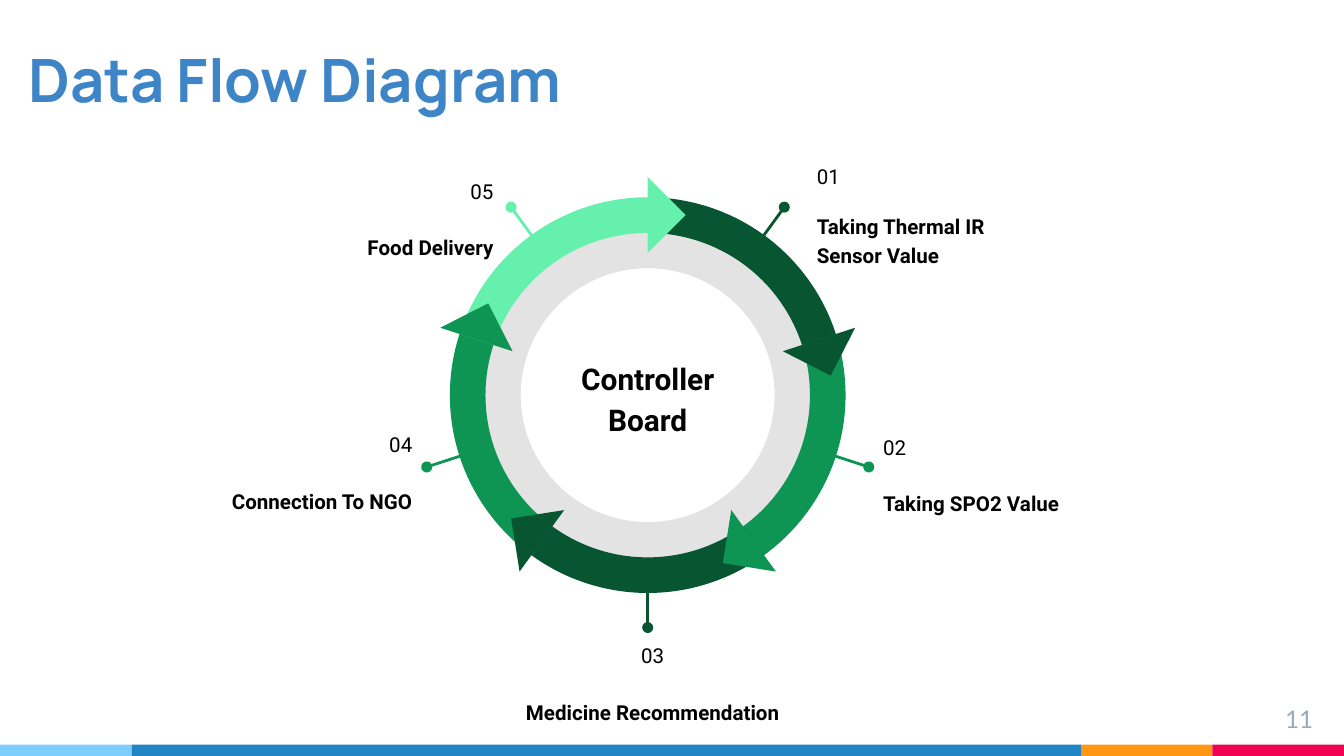
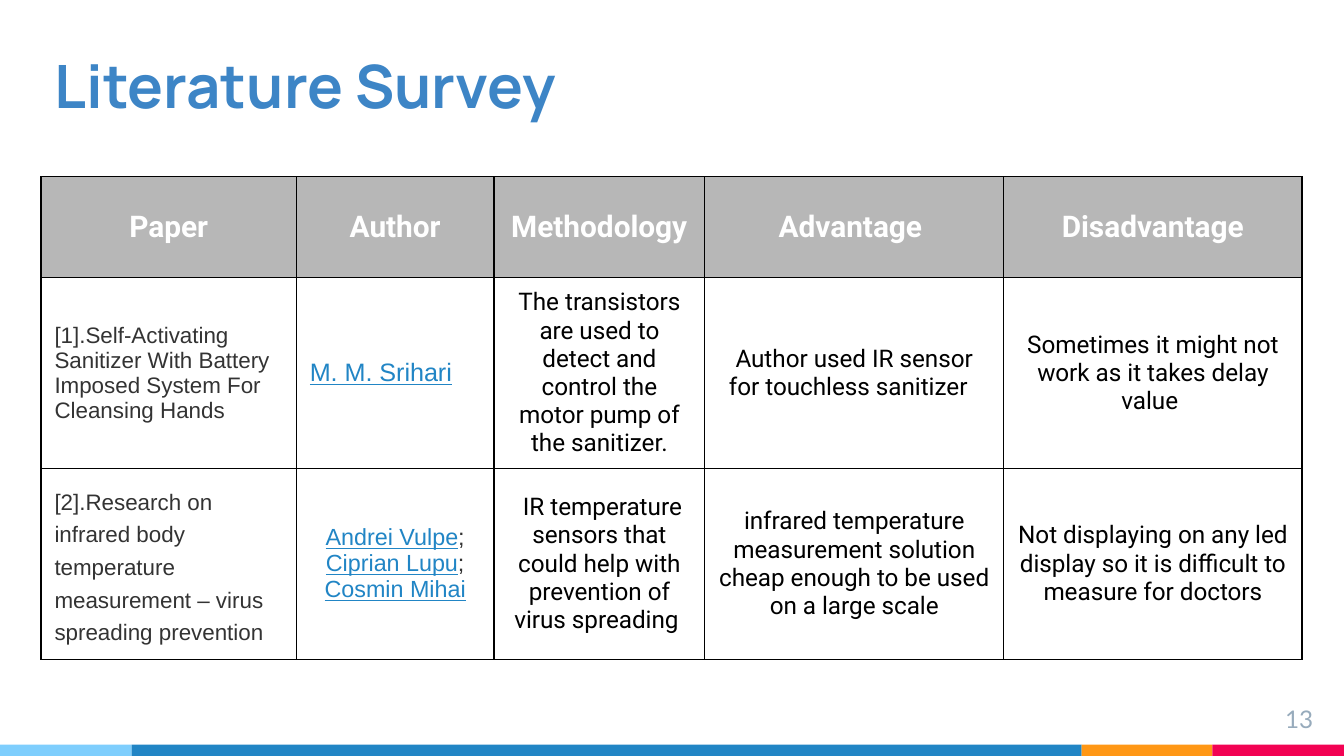
from dataclasses import dataclass
from itertools import accumulate
from math import cos, radians, sin
from typing import Any

from lxml import etree
from pptx import Presentation
from pptx.dml.color import RGBColor
from pptx.enum.shapes import MSO_CONNECTOR, MSO_SHAPE
from pptx.enum.text import MSO_ANCHOR, MSO_AUTO_SIZE, PP_ALIGN
from pptx.oxml.ns import qn
from pptx.util import Pt

LEFT, CENTER, RIGHT = PP_ALIGN.LEFT, PP_ALIGN.CENTER, PP_ALIGN.RIGHT
TOP, MIDDLE, BOTTOM = MSO_ANCHOR.TOP, MSO_ANCHOR.MIDDLE, MSO_ANCHOR.BOTTOM
NO_AUTOFIT = MSO_AUTO_SIZE.NONE
RECTANGLE, DONUT = MSO_SHAPE.RECTANGLE, MSO_SHAPE.DONUT
BLOCK_ARC, RIGHT_TRIANGLE = MSO_SHAPE.BLOCK_ARC, MSO_SHAPE.RIGHT_TRIANGLE
STRAIGHT = MSO_CONNECTOR.STRAIGHT

WHITE = RGBColor(0xFF, 0xFF, 0xFF)
BLACK = RGBColor(0x00, 0x00, 0x00)
HUB_TEXT = RGBColor(0x02, 0x02, 0x02)
TITLE_BLUE = RGBColor(0x3D, 0x85, 0xC6)
NUMBER_GRAY = RGBColor(0x97, 0xAB, 0xBC)
SKY = RGBColor(0x7E, 0xCE, 0xFD)
BLUE = RGBColor(0x21, 0x85, 0xC5)
ORANGE = RGBColor(0xFF, 0x97, 0x15)
PINK = RGBColor(0xF2, 0x02, 0x53)
DARK_GREEN = RGBColor(0x08, 0x56, 0x31)
GREEN = RGBColor(0x0E, 0x94, 0x53)
MINT = RGBColor(0x65, 0xF0, 0xAD)
HEADER_GRAY = RGBColor(0xB7, 0xB7, 0xB7)
PAPER_GRAY = RGBColor(0x33, 0x33, 0x33)

PAGE_WIDTH, PAGE_HEIGHT = 720, 405
BAND_HEIGHT = 6
CENTER_X, CENTER_Y = 347, 211.7
ARC_SIZE, DONUT_SIZE, ARROW_SIZE = 212, 200, 28.8
ARROW_RADIUS, PIN_INNER, PIN_OUTER = 96.5, 87.5, 124.5
STEP_ANGLE, ARC_SWEEP = 72, 76


@dataclass(frozen=True)
class Style:
    name: str
    size: float
    color: RGBColor
    bold: bool = False
    underline: bool = False


@dataclass(frozen=True)
class Span:
    text: str
    style: Style


@dataclass(frozen=True)
class Para:
    spans: tuple[Span, ...]
    alignment: PP_ALIGN = LEFT
    line_spacing: float = 1.0
    space_before: float = 0


@dataclass(frozen=True)
class Box:
    left: float
    top: float
    width: float
    height: float

    def lengths(self) -> tuple[int, ...]:
        return tuple(Pt(value) for value in (self.left, self.top, self.width, self.height))


@dataclass(frozen=True)
class Band:
    width: float
    color: RGBColor


@dataclass(frozen=True)
class Step:
    text: str
    color: RGBColor
    box: Box
    alignment: PP_ALIGN
    gap: float = 15


TITLE = Style("Manrope", 32, TITLE_BLUE, True)
NUMBER = Style("Lato", 13, NUMBER_GRAY)
HUB = Style("Roboto", 16, HUB_TEXT, True)
STEP_NUMBER = Style("Roboto", 11, BLACK)
STEP_NAME = Style("Roboto", 11, BLACK, True)
HEADER = Style("Roboto", 16, WHITE, True)
BODY = Style("Roboto", 13, BLACK)
PAPER = Style("Arial", 12, PAPER_GRAY)
LONE_AUTHOR = Style("Arial", 13.5, BLUE, underline=True)
AUTHOR = Style("Arial", 12.5, BLUE, underline=True)
SEPARATOR = Style("Arial", 12.5, PAPER_GRAY)

BANDS = (Band(70.5, SKY), Band(509, BLUE), Band(70, ORANGE), Band(70.5, PINK))

STEPS = (
    Step("Taking Thermal IR Sensor Value", DARK_GREEN, Box(430.5, 78.5, 118, 53), LEFT, 12),
    Step("Taking SPO2 Value", GREEN, Box(466, 224, 118, 53), LEFT),
    Step("Medicine Recommendation", DARK_GREEN, Box(264, 335.5, 171.5, 53), CENTER),
    Step("Connection To NGO", GREEN, Box(110, 222.5, 118, 53), RIGHT),
    Step("Food Delivery", MINT, Box(153.5, 86.5, 118, 53), RIGHT),
)

COLUMN_WIDTHS = (136.8, 105.8, 113, 160, 160)
ROW_HEIGHTS = (54, 102.2, 102.2)


def centered(*texts: str, style: Style = BODY) -> list[Para]:
    return [Para((Span(text, style),), CENTER) for text in texts]


SURVEY = (
    centered("Paper", "Author", "Methodology", "Advantage ", "Disadvantage", style=HEADER),
    [
        Para((Span("[1].Self-Activating Sanitizer With Battery Imposed System For Cleansing Hands", PAPER),)),
        Para((Span("M. M. Srihari", LONE_AUTHOR),)),
        *centered(
            "The transistors are used to detect and control the motor pump of the sanitizer.",
            "Author used IR sensor for touchless sanitizer  ",
            "Sometimes it might not work as it takes delay value ",
        ),
    ],
    [
        Para((Span("[2].Research on infrared body temperature measurement – virus spreading prevention", PAPER),),
             line_spacing=1.3),
        Para((Span("Andrei Vulpe", AUTHOR), Span("; ", SEPARATOR), Span("Ciprian Lupu", AUTHOR),
              Span("; ", SEPARATOR), Span("Cosmin Mihai", AUTHOR)), CENTER),
        *centered(
            " IR temperature sensors that could help with prevention of virus spreading ",
            "infrared temperature measurement solution cheap enough to be used on a large scale",
            "Not displaying on any led display so it is difficult to measure for doctors",
        ),
    ],
)


def apply_format(target: Any, values: dict[str, Any]) -> None:
    for name, value in values.items():
        setattr(target, name, value)


def write_paras(frame: Any, paras: list[Para]) -> None:
    for index, para in enumerate(paras):
        paragraph = frame.add_paragraph() if index else frame.paragraphs[0]
        apply_format(paragraph, {
            "alignment": para.alignment,
            "line_spacing": para.line_spacing,
            "space_before": Pt(para.space_before),
        })
        for span in para.spans:
            run = paragraph.add_run()
            run.text = span.text
            style = span.style
            apply_format(run.font, {
                "name": style.name,
                "size": Pt(style.size),
                "bold": style.bold,
                "underline": style.underline,
            })
            run.font.color.rgb = style.color


def format_frame(frame: Any, anchor: MSO_ANCHOR) -> None:
    margins = {f"margin_{side}": Pt(7.2) for side in ("left", "top", "right", "bottom")}
    apply_format(frame, {
        "word_wrap": True, "auto_size": NO_AUTOFIT, "vertical_anchor": anchor, **margins,
    })


def add_text(page: Any, box: Box, paras: list[Para], anchor: MSO_ANCHOR = TOP) -> None:
    frame = page.shapes.add_textbox(*box.lengths()).text_frame
    format_frame(frame, anchor)
    write_paras(frame, paras)


def add_filled(page: Any, kind: MSO_SHAPE, box: Box, color: RGBColor) -> Any:
    shape = page.shapes.add_shape(kind, *box.lengths())
    shape.shadow.inherit = False
    shape.fill.solid()
    shape.fill.fore_color.rgb = color
    shape.line.fill.background()
    return shape


def add_page(deck: Any, title: str, title_box: Box, number: str) -> Any:
    page = deck.slides.add_slide(deck.slide_layouts[5])
    heading = page.shapes.title
    apply_format(heading, dict(zip(("left", "top", "width", "height"), title_box.lengths())))
    format_frame(heading.text_frame, BOTTOM)
    write_paras(heading.text_frame, [Para((Span(title, TITLE),))])
    lefts = accumulate((band.width for band in BANDS), initial=0)
    for left, band in zip(lefts, BANDS):
        box = Box(left, PAGE_HEIGHT - BAND_HEIGHT, band.width, BAND_HEIGHT)
        add_filled(page, RECTANGLE, box, band.color)
    add_text(page, Box(667.5, 370, 43, 24.5), [Para((Span(number, NUMBER),), RIGHT)])
    return page


def on_circle(angle: float, radius: float) -> tuple[float, float]:
    turn = radians(angle)
    return CENTER_X + radius * cos(turn), CENTER_Y + radius * sin(turn)


def square_at(x: float, y: float, size: float) -> Box:
    return Box(x - size / 2, y - size / 2, size, size)


def add_pin(page: Any, angle: float, color: RGBColor) -> None:
    ends = (*on_circle(angle, PIN_OUTER), *on_circle(angle, PIN_INNER))
    pin = page.shapes.add_connector(STRAIGHT, *(Pt(value) for value in ends))
    pin.line.color.rgb = color
    pin.line.width = Pt(1.5)
    properties = pin._element.spPr
    etree.SubElement(properties.find(qn("a:ln")), qn("a:headEnd"), type="oval")
    etree.SubElement(properties, qn("a:effectLst"))


def add_arc(page: Any, start: float, color: RGBColor) -> None:
    arc = add_filled(page, BLOCK_ARC, square_at(CENTER_X, CENTER_Y, ARC_SIZE), color)
    end = start + ARC_SWEEP
    arc.adjustments[0] = start % 360 * 0.6
    arc.adjustments[1] = end % 360 * 0.6
    arc.adjustments[2] = 0.09


def draw_flow(page: Any) -> None:
    ring = add_filled(page, DONUT, square_at(CENTER_X, CENTER_Y, DONUT_SIZE), BLACK)
    ring.adjustments[0] = 0.16
    tint = ring._element.spPr.find(qn("a:solidFill"))[0]
    etree.SubElement(tint, qn("a:alpha"), val="11000")
    starts = [270 + STEP_ANGLE * index for index in range(len(STEPS))]
    for index, (start, step) in enumerate(zip(starts, STEPS), 1):
        add_pin(page, start + STEP_ANGLE / 2, step.color)
        add_text(page, step.box, [
            Para((Span(f"{index:02}", STEP_NUMBER),), step.alignment, 1.15),
            Para((Span(step.text, STEP_NAME),), step.alignment, 1.15, step.gap),
        ])
    for start, step in zip(starts, STEPS):
        add_arc(page, start, step.color)
    for start, step in zip(starts, STEPS):
        end = start + STEP_ANGLE
        place = square_at(*on_circle(end, ARROW_RADIUS), ARROW_SIZE)
        arrow = add_filled(page, RIGHT_TRIANGLE, place, step.color)
        arrow.rotation = (end - 45) % 360
    hub = Para((Span("Controller Board", HUB),), CENTER, 1.15)
    add_text(page, Box(290, 180.5, 114, 63.5), [hub], MIDDLE)


def add_borders(cell: Any) -> None:
    properties = cell._tc.get_or_add_tcPr()
    for index, side in enumerate(("lnL", "lnR", "lnT", "lnB")):
        line = etree.Element(qn(f"a:{side}"), w=str(Pt(0.75)))
        fill = etree.SubElement(line, qn("a:solidFill"))
        etree.SubElement(fill, qn("a:srgbClr"), val=str(BLACK))
        properties.insert(index, line)


def draw_survey(page: Any) -> None:
    box = Box(22, 94.75, sum(COLUMN_WIDTHS), sum(ROW_HEIGHTS))
    table = page.shapes.add_table(len(SURVEY), len(COLUMN_WIDTHS), *box.lengths()).table
    apply_format(table, {"first_row": False, "horz_banding": False})
    for column, width in zip(table.columns, COLUMN_WIDTHS):
        column.width = Pt(width)
    for index, (row, height, paras) in enumerate(zip(table.rows, ROW_HEIGHTS, SURVEY)):
        row.height = Pt(height)
        for cell, para in zip(row.cells, paras):
            apply_format(cell, {
                "vertical_anchor": MIDDLE,
                "margin_left": Pt(7.2), "margin_right": Pt(7.2),
                "margin_top": Pt(5), "margin_bottom": Pt(5),
            })
            cell.fill.solid()
            cell.fill.fore_color.rgb = WHITE if index else HEADER_GRAY
            add_borders(cell)
            write_paras(cell.text_frame, [para])


def main() -> None:
    deck = Presentation()
    apply_format(deck, {"slide_width": Pt(PAGE_WIDTH), "slide_height": Pt(PAGE_HEIGHT)})
    draw_flow(add_page(deck, "Data Flow Diagram", Box(8, 16, 594, 52.5), "11"))
    draw_survey(add_page(deck, "Literature Survey", Box(22, 13, 552, 58.5), "13"))
    deck.save("out.pptx")


if __name__ == "__main__":
    main()
